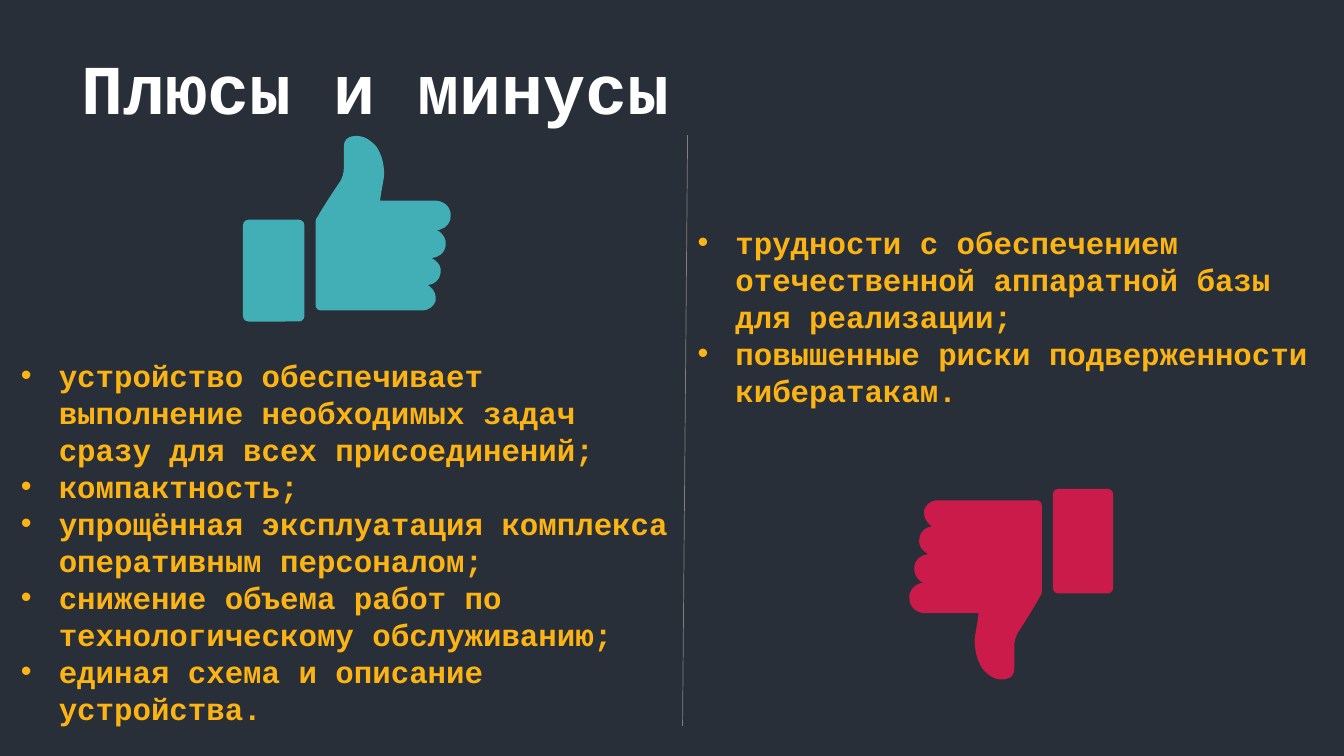
from lxml.etree import SubElement
from pptx import Presentation
from pptx.dml.color import RGBColor as Rgb
from pptx.enum.shapes import MSO_CONNECTOR as Connector, MSO_SHAPE as Preset
from pptx.enum.text import MSO_ANCHOR as Anchor, MSO_AUTO_SIZE as AutoSize, PP_ALIGN as Align
from pptx.oxml.ns import qn
from pptx.util import Inches, Pt

COLOURS = {"background": "282F39", "title": "FFFFFF", "text": "FCB414",
           "plus": "42AFB6", "minus": "CB1B4A", "divider": "808080"}
FONT = "Courier New"
BULLET_INDENT = Pt(27)
PLUSES = [
    "устройство обеспечивает выполнение необходимых задач сразу для всех присоединений;",
    "компактность;",
    "упрощённая эксплуатация комплекса оперативным персоналом;",
    "снижение объема работ по технологическому обслуживанию;",
    "единая схема и описание устройства.",
]
MINUSES = [
    "трудности с обеспечением отечественной аппаратной базы для реализации;",
    "повышенные риски подверженности кибератакам.",
]
THUMB_GRID = (207, 185)
CUFF = (0, 84, 61, 101)
HAND = [
    (136, 65),
    (137, 65), (138, 65), (139, 65), (156, 65), (173, 65), (190, 65),
    (199, 65), (206, 71), (206, 79), (207, 86), (202, 92), (195, 94),
    (194, 94), (193, 94), (192, 94), (199, 98), (202, 103), (201, 110),
    (200, 117), (195, 121), (187, 122), (194, 126), (197, 130), (196, 137),
    (195, 144), (190, 148), (183, 149), (184, 150), (184, 150), (185, 150),
    (190, 154), (192, 159), (191, 165), (189, 170), (184, 174), (178, 174),
    (144, 174), (111, 174), (78, 174), (74, 174), (72, 172), (72, 168),
    (72, 141), (72, 113), (72, 86), (72, 84), (73, 82), (74, 81),
    (81, 69), (89, 57), (97, 45), (99, 41), (100, 37), (100, 33),
    (100, 26), (100, 19), (100, 12), (100, 5), (103, 2), (110, 1),
    (120, 0), (126, 5), (132, 11), (138, 20), (140, 29), (140, 40),
    (139, 48), (137, 56), (136, 65),
]


def colour(name):
    """Return the named colour of the slide."""
    return Rgb.from_string(COLOURS[name])


def style(font, size, name):
    """Apply the bold slide font in a size and colour."""
    font.name, font.size, font.bold = FONT, Pt(size), True
    font.color.rgb = colour(name)


def paint(shape, name):
    """Fill a shape with a flat colour."""
    shape.shadow.inherit = False
    shape.fill.solid()
    shape.fill.fore_color.rgb = colour(name)
    shape.line.fill.background()


def curve(shape):
    """Turn each three straight segments of an outline into one Bezier curve."""
    segments = list(shape.element.iter(qn("a:lnTo")))
    for index in range(0, len(segments), 3):
        bezier = segments[index].makeelement(qn("a:cubicBezTo"))
        segments[index].addprevious(bezier)
        for segment in segments[index:index + 3]:
            bezier.append(segment[0])
            segment.getparent().remove(segment)


def add_title(slide, text, left, top, width, height):
    """Place and format the title placeholder."""
    title = slide.shapes.title
    title.left, title.top, title.width, title.height = map(Inches, (left, top, width, height))
    frame = title.text_frame
    frame.text = text
    frame.word_wrap, frame.auto_size = True, AutoSize.NONE
    frame.vertical_anchor = Anchor.TOP
    paragraph = frame.paragraphs[0]
    paragraph.alignment, paragraph.line_spacing = Align.LEFT, 1.0
    style(paragraph.font, 50, "title")


def add_bullets(slide, items, left, top, width, height):
    """Add a bulleted list with a hanging indent."""
    frame = slide.shapes.add_textbox(*map(Inches, (left, top, width, height))).text_frame
    frame.word_wrap = True
    for index, item in enumerate(items):
        paragraph = frame.add_paragraph() if index else frame.paragraphs[0]
        paragraph.text = item
        properties = paragraph._p.get_or_add_pPr()
        properties.set("marL", str(BULLET_INDENT))
        properties.set("indent", str(-BULLET_INDENT))
        SubElement(properties, qn("a:buFont"), typeface="Arial")
        SubElement(properties, qn("a:buChar"), char="•")
        style(paragraph.font, 22, "text")


def add_thumb(slide, name, left, top, width, height, rotation=0):
    """Add a thumb sign made of a hand and a cuff."""
    group = slide.shapes.add_group_shape()
    left, top = Inches(left), Inches(top)
    across, down = Inches(width) / THUMB_GRID[0], Inches(height) / THUMB_GRID[1]
    builder = group.shapes.build_freeform(*HAND[0], scale=(across, down))
    builder.add_line_segments(HAND[1:], close=True)
    hand = builder.convert_to_shape(left, top)
    curve(hand)
    x, y, cuff_width, cuff_height = CUFF
    cuff = group.shapes.add_shape(
        Preset.ROUNDED_RECTANGLE, int(left + x * across), int(top + y * down),
        int(cuff_width * across), int(cuff_height * down))
    cuff.adjustments[0] = 0.09
    for part in (hand, cuff):
        paint(part, name)
    group.rotation = rotation


def add_divider(slide, *ends):
    """Add the thin line between the two columns."""
    line = slide.shapes.add_connector(Connector.STRAIGHT, *map(Inches, ends))
    line.line.color.rgb = colour("divider")
    line.line.width = Pt(0.5)
    SubElement(line.element.spPr, qn("a:effectLst"))


def main():
    """Build the slide and save it."""
    presentation = Presentation()
    presentation.slide_width, presentation.slide_height = Inches(13.33), Inches(7.5)
    slide = presentation.slides.add_slide(presentation.slide_layouts[5])
    slide.background.fill.solid()
    slide.background.fill.fore_color.rgb = colour("background")
    add_thumb(slide, "plus", 2.41, 1.34, 2.07, 1.85)
    add_thumb(slide, "minus", 9.01, 4.85, 2.03, 1.9, rotation=180)
    add_bullets(slide, PLUSES, 0.11, 3.49, 6.67, 3.8)
    add_bullets(slide, MINUSES, 6.82, 2.17, 6.41, 1.95)
    add_divider(slide, 6.82, 1.34, 6.77, 7.2)
    add_title(slide, "Плюсы и минусы", 0.71, 0.39, 12.22, 0.94)
    presentation.save("out.pptx")


if __name__ == "__main__":
    main()
